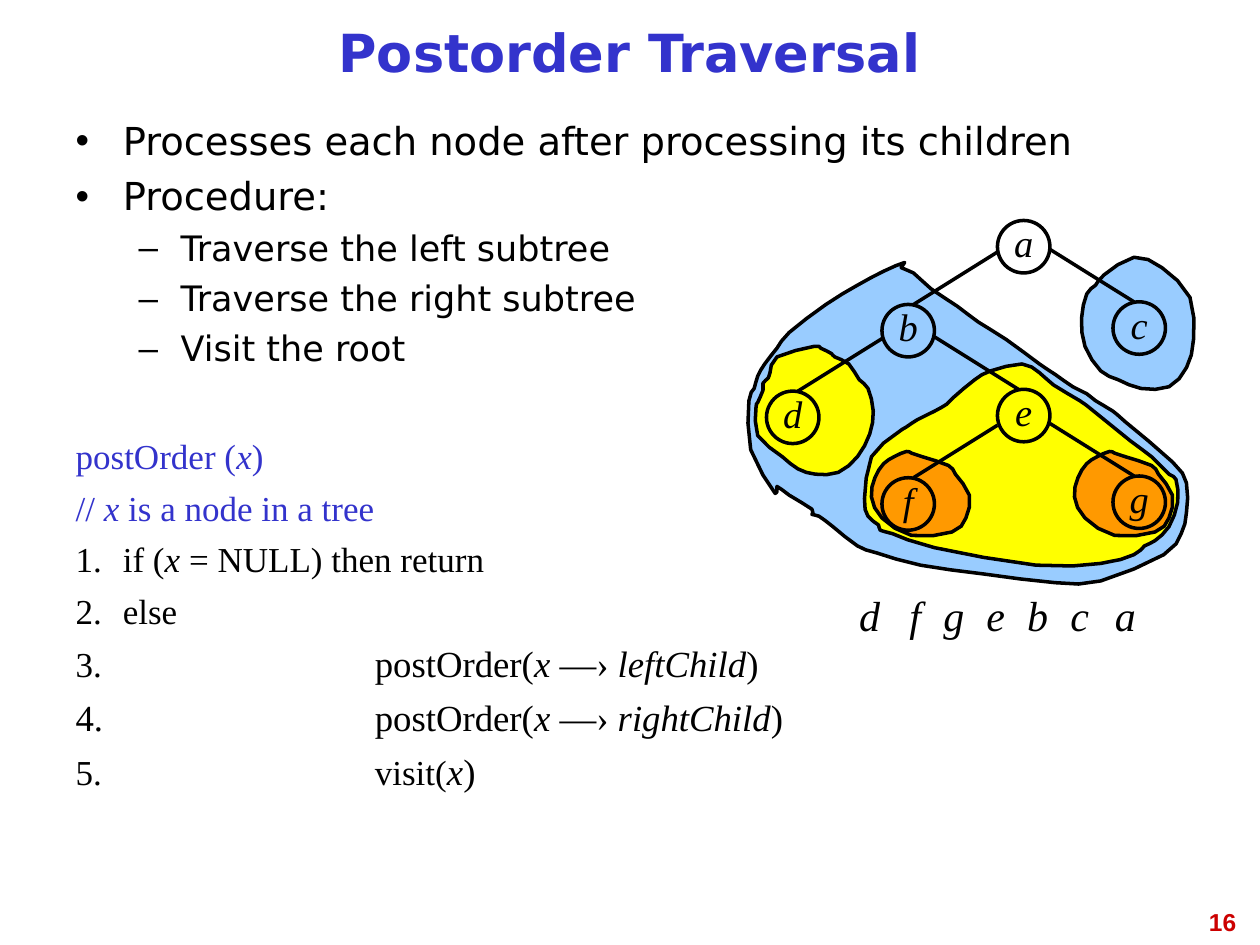
"""Build the postorder traversal slide with its annotated tree."""
from lxml import etree
from pptx import Presentation, util as u
from pptx.dml.color import RGBColor
from pptx.enum import shapes, text
from pptx.oxml import ns

BLACK = RGBColor(0, 0, 0)
BLUE = RGBColor(0x33, 0x33, 0xCC)
RED = RGBColor(0xCC, 0, 0)
SKY = RGBColor(0x99, 0xCC, 0xFF)
YELLOW = RGBColor(0xFF, 0xFF, 0)
ORANGE = RGBColor(0xFF, 0x99, 0)
SANS, SERIF = "DejaVu Sans", "Times New Roman"

TITLE = "Postorder Traversal"
POINT = dict(level=0, left=27, hang=27, before=8, bullet=("buChar", {"char": "•"}))
STEP = dict(level=1, left=60, hang=24, before=7, bullet=("buChar", {"char": "–"}))
CODE = dict(level=0, left=27, hang=27, before=8, bullet=("buNone", {}))
NUMBERED = CODE | dict(bullet=("buAutoNum", {"type": "arabicPeriod", "startAt": "2"}))
BODY = [
    (POINT, SANS, BLACK, [("Processes each node after processing its children", 22)]),
    (POINT, SANS, BLACK, [("Procedure:", 22)]),
    (STEP, SANS, BLACK, [("Traverse the left subtree", 20)]),
    (STEP, SANS, BLACK, [("Traverse the right subtree", 20)]),
    (STEP, SANS, BLACK, [("Visit the root", 20)]),
    (CODE | dict(before=40), SERIF, BLUE, [("postOrder (*x*)", 20)]),
    (CODE, SERIF, BLUE, [("// *x* is a node in a tree", 20)]),
    (CODE, SERIF, BLACK, [("1. \tif (*x* = NULL) then return", 20)]),
    (NUMBERED, SERIF, BLACK, [("else", 20)]),
    (CODE, SERIF, BLACK, [("3.\t\t\t", 20), ("postOrder(*x *—› *leftChild*)", 21)]),
    (CODE, SERIF, BLACK, [("4. \t\t\tpostOrder(*x *—› *rightChild*)", 21)]),
    (CODE, SERIF, BLACK, [("5.\t\t\tvisit(", 20), ("*x*)", 21)]),
]

VISITS = {"d": 480, "f": 506, "g": 528, "e": 552, "b": 576, "c": 600, "a": 626}
NODES = {"a": (585, 126), "b": (519, 174), "c": (651, 172.5), "d": (453, 223.5),
         "e": (585, 222.5), "f": (519, 273), "g": (651, 272)}
EDGES = ["ab", "ac", "bd", "be", "ef", "eg"]
DIAMETER, EDGE_RUN, EDGE_RISE = 30, 48, 30

AREA_C = [(648, 147), (631, 157), (626, 163), (621, 168), (618, 182), (620, 198),
          (629, 212), (639, 217), (652, 222), (668, 221), (678, 210), (682, 194),
          (680, 170), (664, 153)]
AREA_B = [(517, 150), (505, 155), (490, 163), (472, 174), (451, 190), (444, 199),
          (437, 208), (433, 215), (431, 222), (428, 229), (429, 257), (443, 282),
          (444, 278), (451, 283), (464, 291), (464, 294), (468, 295), (476, 301),
          (490, 312), (501, 316), (526, 323), (562, 328), (603, 333), (629, 332),
          (665, 317), (675, 305), (678, 293), (678, 276), (670, 264), (643, 241),
          (636, 235), (626, 229), (621, 225), (613, 221), (603, 214), (594, 208),
          (575, 194), (559, 184), (547, 175), (532, 165), (522, 156), (515, 153)]
AREA_D = [(465, 198), (444, 204), (440, 213), (439, 216), (436, 219), (436, 223),
          (433, 230), (432, 233), (433, 249), (447, 261), (456, 268), (466, 271),
          (479, 270), (490, 261), (497, 248), (499, 235), (496, 222), (491, 217),
          (485, 208), (477, 204), (475, 202), (469, 199)]
AREA_E = [(584, 208), (566, 212), (557, 217), (545, 227), (541, 231), (534, 235),
          (524, 240), (518, 244), (512, 248), (498, 261), (494, 285), (496, 295),
          (502, 300), (503, 303), (510, 305), (534, 313), (592, 323), (629, 322),
          (648, 317), (654, 312), (660, 309), (668, 301), (673, 287), (672, 274),
          (668, 271), (658, 261), (646, 252), (625, 235), (617, 229), (602, 220),
          (594, 213)]
AREA_F = [(518, 258), (511, 261), (505, 265), (500, 273), (498, 284), (504, 296),
          (521, 306), (544, 304), (552, 296), (554, 283), (546, 271), (542, 266),
          (527, 261), (521, 259)]
AREA_G = [(x + 116, y) for x, y in AREA_F]
AREAS = [(AREA_C, SKY), (AREA_B, SKY), (AREA_D, YELLOW), (AREA_E, YELLOW),
         (AREA_F, ORANGE), (AREA_G, ORANGE)]


def apply(target, values):
    for name, value in values.items():
        setattr(target, name, value)


def place(box, left, top, width, height):
    apply(box, {name: u.Pt(value) for name, value in
                dict(left=left, top=top, width=width, height=height).items()})


def add_span(para, words, size, font, color, **styles):
    span = para.add_run()
    span.text = words
    apply(span.font, dict(size=u.Pt(size), name=font) | styles)
    span.font.color.rgb = color


def format_frame(frame, **values):
    apply(frame, dict(auto_size=text.MSO_AUTO_SIZE.NONE, word_wrap=True) | values)
    return frame.paragraphs[0]


def add_label(page, words, bounds, align, anchor, *style, **styles):
    box = page.shapes.add_textbox(*map(u.Pt, bounds))
    para = format_frame(box.text_frame, vertical_anchor=anchor)
    para.alignment = align
    add_span(para, words, *style, **styles)


def outline(line):
    line.color.rgb = BLACK
    line.width = u.Pt(2)


def round_corners(points):
    curve = []
    for i, b in enumerate(points):
        a, c, d = (points[(i + k) % len(points)] for k in (-1, 1, 2))
        middle = [(9 * (q + r) - p - s) / 16 for p, q, r, s in zip(a, b, c, d)]
        curve += [tuple(map(u.Pt, b)), tuple(map(u.Pt, middle))]
    return curve


def fill_body(frame):
    para = format_frame(frame)
    for index, (style, font, color, parts) in enumerate(BODY):
        para = frame.add_paragraph() if index else para
        apply(para, dict(level=style["level"], line_spacing=0.9, space_after=u.Pt(0),
                         space_before=u.Pt(style["before"]),
                         alignment=text.PP_ALIGN.JUSTIFY))
        props = para._p.get_or_add_pPr()
        for name, value in (("marL", style["left"]), ("indent", -style["hang"]),
                            ("defTabSz", 72)):
            props.set(name, str(u.Pt(value)))
        tag, values = style["bullet"]
        etree.SubElement(props, ns.qn("a:" + tag), values)
        for words, size in parts:
            for turn, piece in enumerate(words.split("*")):
                if piece:
                    add_span(para, piece, size, font, color, italic=turn % 2 == 1)


def draw_tree(page):
    for points, color in AREAS:
        start, *rest = round_corners(points)
        builder = page.shapes.build_freeform(*start, scale=1.0)
        builder.add_line_segments(rest, close=True)
        area = builder.convert_to_shape()
        area.shadow.inherit = False
        area.fill.solid()
        area.fill.fore_color.rgb = color
        outline(area.line)
    for parent, child in EDGES:
        side = 1 if NODES[child][0] > NODES[parent][0] else -1
        x, y = NODES[parent][0] + side * DIAMETER / 2, NODES[child][1]
        edge = page.shapes.add_connector(
            shapes.MSO_CONNECTOR.STRAIGHT,
            *map(u.Pt, (x, y - EDGE_RISE, x + side * EDGE_RUN, y)))
        outline(edge.line)
        etree.SubElement(edge._element.spPr, ns.qn("a:effectLst"))
    for name, (x, y) in NODES.items():
        node = page.shapes.add_shape(
            shapes.MSO_SHAPE.OVAL, *map(u.Pt, (x - DIAMETER / 2, y, DIAMETER, DIAMETER)))
        node.shadow.inherit = False
        node.fill.background()
        outline(node.line)
        para = format_frame(node.text_frame, word_wrap=False,
                            vertical_anchor=text.MSO_ANCHOR.MIDDLE)
        apply(para, dict(alignment=text.PP_ALIGN.CENTER, line_spacing=0.81))
        add_span(para, name, 22, SERIF, BLACK, italic=True)


def main():
    deck = Presentation()
    apply(deck, dict(slide_width=u.Pt(720), slide_height=u.Pt(540)))
    page = deck.slides.add_slide(deck.slide_layouts[1])
    title, body = page.placeholders
    place(title, 36, 5.5, 647.5, 54)
    para = format_frame(title.text_frame, vertical_anchor=text.MSO_ANCHOR.MIDDLE)
    apply(para, dict(alignment=text.PP_ALIGN.CENTER, line_spacing=0.81))
    add_span(para, TITLE, 30, SANS, BLUE, bold=True)
    place(body, 36, 66, 647.5, 420)
    fill_body(body.text_frame)
    for name, left in VISITS.items():
        add_label(page, name, (left, 336.5, 34, 30), text.PP_ALIGN.CENTER,
                  text.MSO_ANCHOR.MIDDLE, 24, SERIF, BLACK, italic=True)
    draw_tree(page)
    add_label(page, "16", (545.5, 514.5, 168, 37.5), text.PP_ALIGN.RIGHT,
              text.MSO_ANCHOR.TOP, 14, "Arial", RED, bold=True)
    deck.save("out.pptx")


if __name__ == "__main__":
    main()
